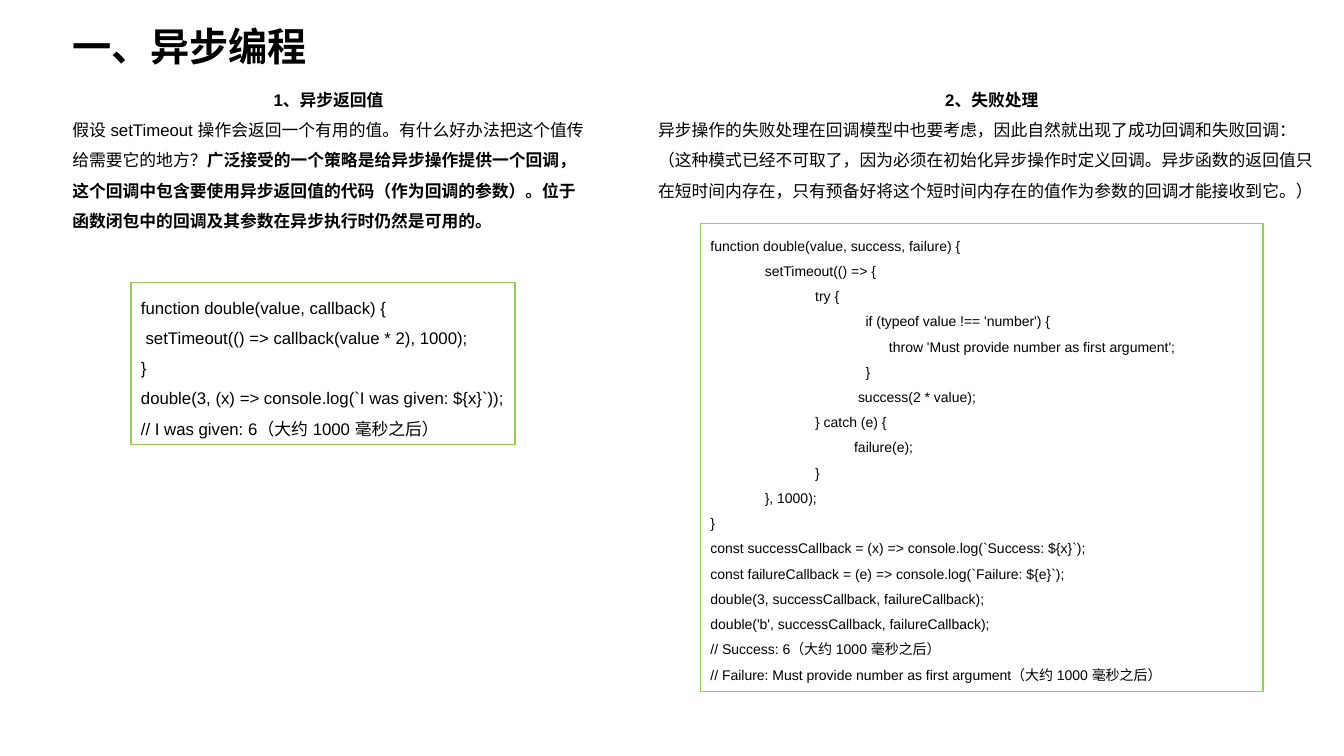
from typing import NamedTuple

from pptx import Presentation
from pptx.dml.color import RGBColor
from pptx.enum.lang import MSO_LANGUAGE_ID as Language
from pptx.enum.shapes import MSO_SHAPE as Shape
from pptx.enum.text import MSO_ANCHOR as Anchor, PP_ALIGN as Align
from pptx.oxml import parse_xml
from pptx.oxml.ns import nsdecls
from pptx.util import Pt

COLORS = {"ink": "000000", "paper": "FFFFFF", "border": "92D050"}
FONT = "Arial"
INDENT_STEP = 36


class Box(NamedTuple):
    left: float
    top: float
    width: float
    height: float


class Run(NamedTuple):
    text: str
    bold: bool = False


class Line(NamedTuple):
    runs: list[Run]
    align: Align = Align.LEFT
    indent: float = 0


class Section(NamedTuple):
    box: Box
    heading: str
    body: list[list[Run]]


class Listing(NamedTuple):
    box: Box
    size: float
    code: list[Line]


def rgb(name: str) -> RGBColor:
    return RGBColor.from_string(COLORS[name])


def code_line(text: str, level: int = 0, extra: float = 0) -> Line:
    return Line([Run(text)], indent=level * INDENT_STEP + extra)


def write(frame, lines: list[Line], *, size: float, spacing: float = 1.5) -> None:
    frame.word_wrap = True
    frame.vertical_anchor = Anchor.TOP
    for number, line in enumerate(lines):
        paragraph = frame.paragraphs[0] if number == 0 else frame.add_paragraph()
        paragraph.alignment = line.align
        paragraph.line_spacing = spacing
        properties = paragraph._p.get_or_add_pPr()
        properties.set("marL", str(Pt(line.indent)))
        properties.set("indent", "0")
        for piece in line.runs:
            run = paragraph.add_run()
            run.text = piece.text
            font = run.font
            font.name, font.size, font.bold = FONT, Pt(size), piece.bold
            font.color.rgb = rgb("ink")
            font.language_id = Language.SIMPLIFIED_CHINESE
            east_asian = parse_xml(f'<a:ea {nsdecls("a")} typeface="{FONT}"/>')
            run._r.get_or_add_rPr().find("{*}latin").addnext(east_asian)


def add_text(slide, box: Box, lines: list[Line], *, size: float, spacing: float = 1.5) -> None:
    frame = slide.shapes.add_textbox(*map(Pt, box)).text_frame
    write(frame, lines, size=size, spacing=spacing)


def add_section(slide, section: Section) -> None:
    heading = Line([Run(section.heading, True)], Align.CENTER)
    add_text(slide, section.box, [heading, *map(Line, section.body)], size=12)


def add_listing(slide, listing: Listing) -> None:
    panel = slide.shapes.add_shape(Shape.RECTANGLE, *map(Pt, listing.box))
    panel.shadow.inherit = False
    panel.fill.solid()
    panel.fill.fore_color.rgb = rgb("paper")
    panel.line.color.rgb = rgb("border")
    panel.line.width = Pt(1)
    panel.text_frame.margin_right = 0
    write(panel.text_frame, listing.code, size=listing.size)


SECTIONS = [
    Section(Box(44.6, 53.3, 380.2, 115.9), "1、异步返回值", [[
        Run("假设 setTimeout 操作会返回一个有用的值。有什么好办法把这个值传给需要它的地方？"),
        Run("广泛接受的一个策略是给异步操作提供一个回调，这个回调中包含要使用异步返回值的代码"
            "（作为回调的参数）。位于函数闭包中的回调及其参数在异步执行时仍然是可用的。", True),
    ]]),
    Section(Box(463, 53.3, 491, 94.3), "2、失败处理", [
        [Run("异步操作的失败处理在回调模型中也要考虑，因此自然就出现了成功回调和失败回调：")],
        [Run("（这种模式已经不可取了，因为必须在初始化异步操作时定义回调。异步函数的返回值只"
             "在短时间内存在，只有预备好将这个短时间内存在的值作为参数的回调才能接收到它。）")],
    ]),
]

LISTINGS = [
    Listing(Box(93.6, 201.6, 274.3, 115.9), 12, [
        code_line("function double(value, callback) {"),
        code_line("setTimeout(() => callback(value * 2), 1000);", extra=3.3),
        code_line("}"),
        code_line("double(3, (x) => console.log(`I was given: ${x}`));"),
        code_line("// I was given: 6（大约 1000 毫秒之后）"),
    ]),
    Listing(Box(500.4, 159.8, 401.8, 334.1), 10, [
        code_line("function double(value, success, failure) {"),
        code_line("setTimeout(() => {", 1, 2.8),
        code_line("try {", 2, 2.8),
        code_line("if (typeof value !== 'number') {", 3, 2.8),
        code_line("throw 'Must provide number as first argument';", 3, 19.5),
        code_line("}", 3, 2.8),
        code_line("success(2 * value);", 2, 33.4),
        code_line("} catch (e) {", 2, 2.8),
        code_line("failure(e);", 2, 30.6),
        code_line("}", 2, 2.8),
        code_line("}, 1000);", 1, 2.8),
        code_line("}"),
        code_line("const successCallback = (x) => console.log(`Success: ${x}`);"),
        code_line("const failureCallback = (e) => console.log(`Failure: ${e}`);"),
        code_line("double(3, successCallback, failureCallback);"),
        code_line("double('b', successCallback, failureCallback);"),
        code_line("// Success: 6（大约 1000 毫秒之后）"),
        code_line("// Failure: Must provide number as first argument（大约 1000 毫秒之后）"),
    ]),
]

deck = Presentation()
deck.slide_width, deck.slide_height = Pt(960), Pt(540)
slide = deck.slides.add_slide(deck.slide_layouts[6])
title = Line([Run("一、异步编程", True)])
add_text(slide, Box(44.6, 12.2, 486.7, 41), [title], size=28, spacing=1.0)
for section in SECTIONS:
    add_section(slide, section)
for listing in LISTINGS:
    add_listing(slide, listing)
deck.save("out.pptx")
